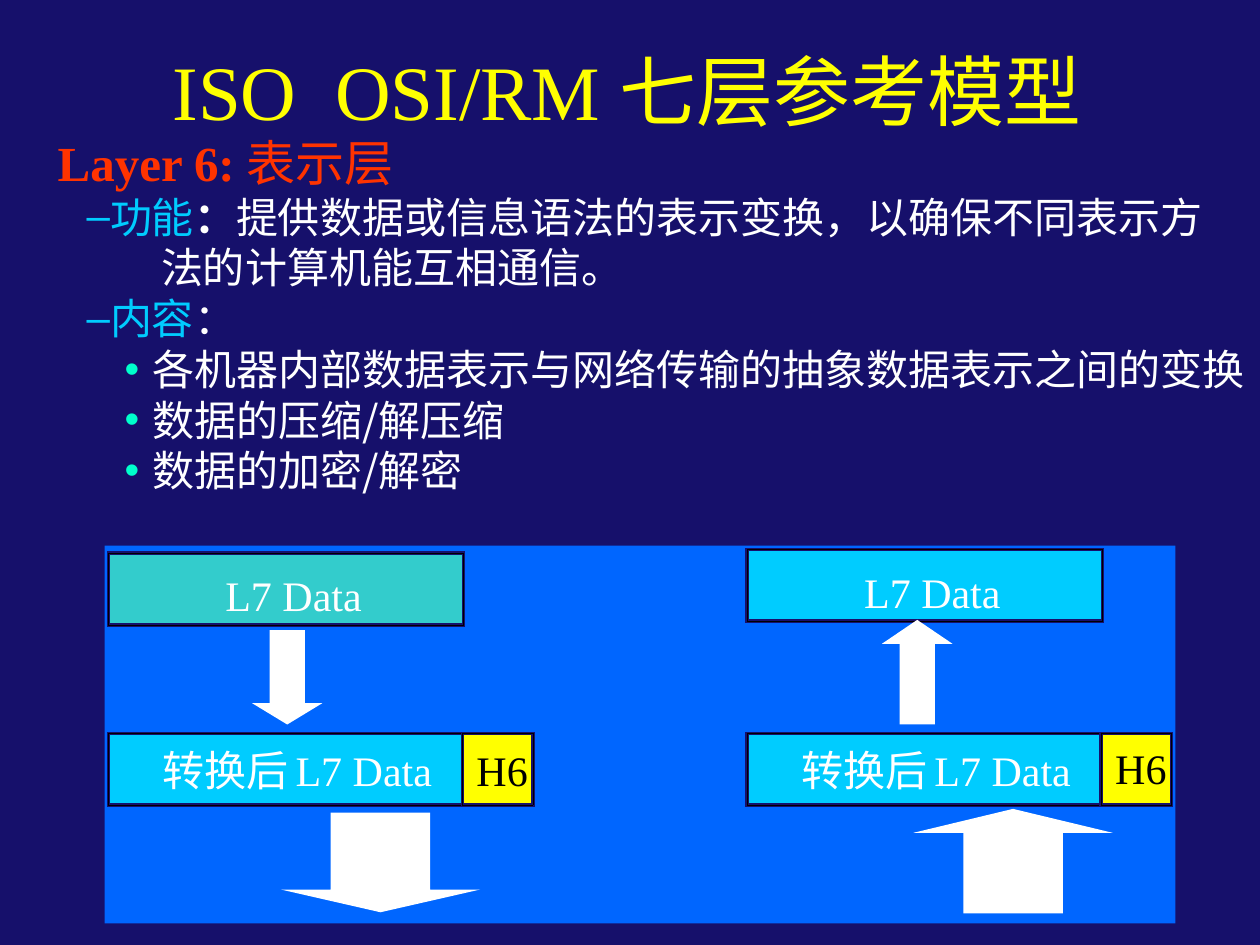
from lxml import etree
from pptx import Presentation
from pptx.dml.color import RGBColor
from pptx.enum.shapes import MSO_CONNECTOR, MSO_SHAPE
from pptx.enum.text import MSO_ANCHOR, MSO_AUTO_SIZE, PP_ALIGN
from pptx.oxml.ns import qn
from pptx.util import Inches, Pt

RECT, UP, DOWN = MSO_SHAPE.RECTANGLE, MSO_SHAPE.UP_ARROW, MSO_SHAPE.DOWN_ARROW
STRAIGHT = MSO_CONNECTOR.STRAIGHT
CENTER = PP_ALIGN.CENTER
SERIF, SANS, CJK = "Times New Roman", "Arial", "Noto Sans CJK SC"
COLORS = {"navy": "16106B", "title": "FFFF01", "red": "FF3300", "cyan": "00CCFF",
          "mint": "00FFCC", "white": "FFFFFF", "black": "000000", "blue": "0066FF",
          "teal": "33CCCC", "yellow": "FFFF00"}

prs = Presentation()
prs.slide_width, prs.slide_height = Inches(10), Inches(7.5)
s = prs.slides.add_slide(prs.slide_layouts[5])
s.background.fill.solid()
s.background.fill.fore_color.rgb = RGBColor.from_string(COLORS["navy"])


def add_run(p, text, size, font, color, bold=False):
    r = p.add_run()
    r.text = text
    r.font.size, r.font.name, r.font.bold = Pt(size), font, bold
    r.font.color.rgb = RGBColor.from_string(COLORS[color])
    etree.SubElement(r.font._element, qn("a:ea"), typeface=CJK)


def add_block(kind, x, y, w, h, fill, line=None):
    sp = s.shapes.add_shape(kind, Inches(x), Inches(y), Inches(w), Inches(h))
    sp.shadow.inherit = False
    sp.fill.solid()
    sp.fill.fore_color.rgb = RGBColor.from_string(COLORS[fill])
    if line:
        sp.line.color.rgb = RGBColor.from_string(COLORS[line])
        sp.line.width = Pt(2)
        etree.SubElement(sp.line._get_or_add_ln(), qn("a:miter"), lim="800000")
    else:
        sp.line.fill.background()
    return sp


# Title
title = s.shapes.title
title.left, title.top = Inches(0.73), Inches(0.25)
title.width, title.height = Inches(8.5), Inches(0.92)
tf = title.text_frame
tf.auto_size = MSO_AUTO_SIZE.NONE
tf.vertical_anchor = MSO_ANCHOR.MIDDLE
tf.paragraphs[0].alignment = CENTER
add_run(tf.paragraphs[0], "ISO  OSI/RM 七层参考模型", 44, SERIF, "title")

# Outline text: left margin, first-line indent, bullet, bullet colour, runs
DASH, DOT = (0.52, -0.1, "–", "cyan"), (0.94, -0.22, "•", "mint")
outline = [
    ((0.19, 0, None, None), [("Layer 6:", 28, SERIF, "red", True),
                             (" ", 24, SANS, "red", True),
                             ("表示层", 28, SANS, "red")]),
    (DASH, [("功能", 24, CJK, "cyan"), ("：", 24, CJK, "white", True),
            ("提供数据或信息语法的表示变换，以确保不同表示方", 24, CJK, "white")]),
    ((1.01, 0, None, None), [("法的计算机能互相通信。", 24, CJK, "white")]),
    (DASH, [("内容", 24, CJK, "cyan"), ("：", 24, CJK, "white")]),
    (DOT, [("各机器内部数据表示与网络传输的抽象数据表示之间的变换", 24, CJK, "white")]),
    (DOT, [("数据的压缩/解压缩", 24, CJK, "white")]),
    (DOT, [("数据的加密/解密", 24, CJK, "white")]),
]
tf = s.shapes.add_textbox(Inches(0.17), Inches(1.08), Inches(9.83), Inches(3.17)).text_frame
tf.word_wrap = True
for i, ((margin, indent, bullet, bullet_color), runs) in enumerate(outline):
    p = tf.paragraphs[0] if i == 0 else tf.add_paragraph()
    p.line_spacing = Pt(23 if i else 27.8)
    p.space_before = Pt(6 if i else 0)
    pPr = p._p.get_or_add_pPr()
    pPr.set("marL", str(Inches(margin)))
    pPr.set("indent", str(Inches(indent)))
    if bullet:
        bu_clr = etree.SubElement(pPr, qn("a:buClr"))
        etree.SubElement(bu_clr, qn("a:srgbClr"), val=COLORS[bullet_color])
        etree.SubElement(pPr, qn("a:buFont"), typeface=SANS)
        etree.SubElement(pPr, qn("a:buChar"), char=bullet)
    for run in runs:
        add_run(p, *run)

# Diagram panel
add_block(RECT, 0.83, 4.33, 8.5, 3, "blue")

# Sender on the left, receiver on the right
L7 = [("L7 Data", 24, SERIF, "white")]
CONVERTED = [("转换后", 24, SANS, "white"), (" ", 18, SANS, "white")] + L7
H6 = [("H6", 24, SERIF, "black")]
for x, data_y, data_fill, label_y, h6_y in [(0.86, 4.39, "teal", 4.52, 5.91),
                                            (5.93, 4.36, "cyan", 4.5, 5.89)]:
    for left, top, w, fill in [(x, data_y, 2.82, data_fill), (x, 5.82, 2.82, "cyan"),
                               (x + 2.81, 5.82, 0.56, "yellow")]:
        add_block(RECT, left, top, w, 0.57, fill, "navy")
        # Hairline edges; the converted data shares its right edge with H6
        right, bottom = left + w, top + 0.57
        edges = [(left, bottom, right, bottom), (left, top, right, top),
                 (left, bottom, left, top), (right, bottom, right, top)]
        for edge in edges[:3] if (left, top) == (x, 5.82) else edges:
            c = s.shapes.add_connector(STRAIGHT, *[Inches(v) for v in edge])
            c.line.color.rgb = RGBColor.from_string(COLORS["black"])
            c.line.width = Pt(0.37)
            etree.SubElement(c._element.spPr, qn("a:effectLst"))
    for dx, y, w, runs in [(0.87, label_y, 1.2, L7), (0.4, 5.91, 2.2, CONVERTED),
                           (2.92, h6_y, 0.41, H6)]:
        tb = s.shapes.add_textbox(Inches(x + dx), Inches(y), Inches(w), Inches(0.4))
        tf = tb.text_frame
        tf.margin_left = tf.margin_right = tf.margin_top = tf.margin_bottom = 0
        tf.word_wrap = False
        tf.vertical_anchor = MSO_ANCHOR.MIDDLE
        tf.paragraphs[0].alignment = CENTER
        for run in runs:
            add_run(tf.paragraphs[0], *run)

# Flow arrows: down at the sender, up at the receiver
for kind, x, y, w, h, head in [(DOWN, 2, 5, 0.56, 0.75, 0.17), (DOWN, 2.23, 6.45, 1.58, 0.79, 0.18),
                               (UP, 7, 4.92, 0.56, 0.83, 0.19), (UP, 7.25, 6.42, 1.58, 0.83, 0.19)]:
    sp = add_block(kind, x, y, w, h, "white")
    sp.adjustments[0] = 0.5
    sp.adjustments[1] = head / min(w, h)

prs.save("out.pptx")
